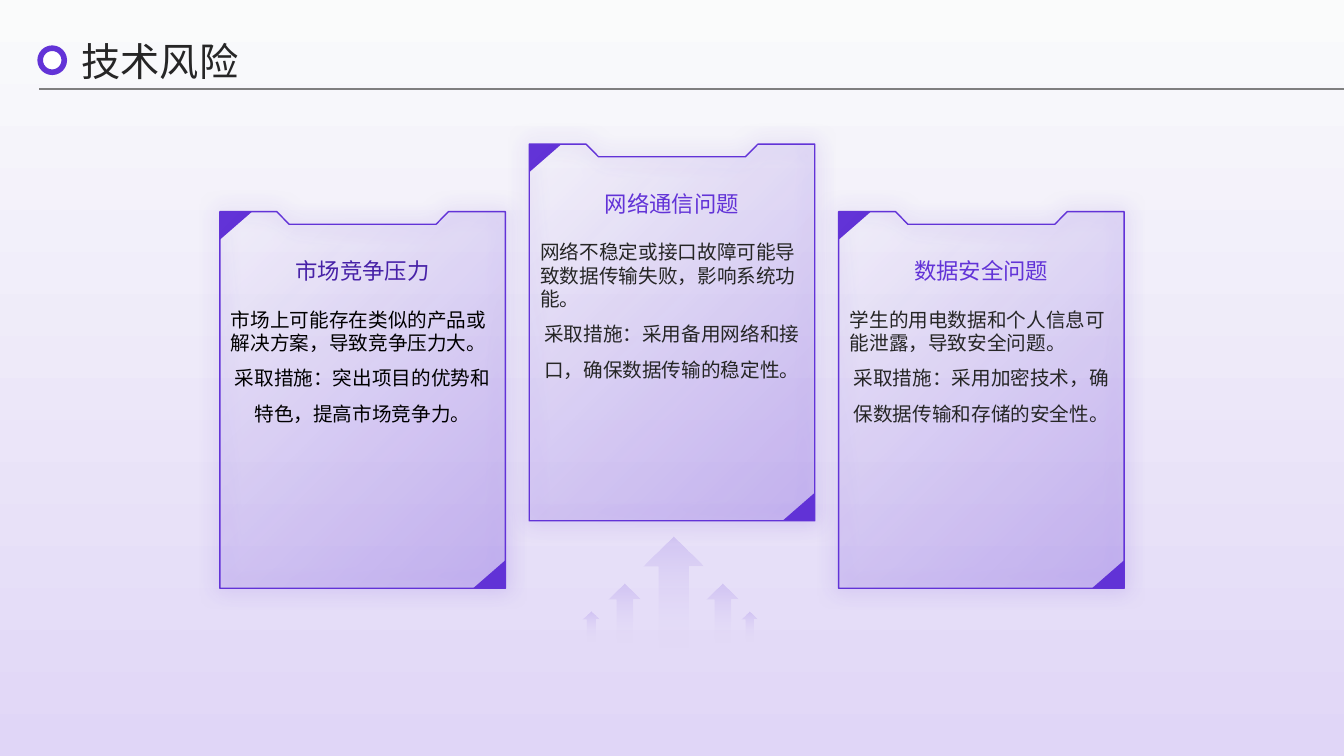
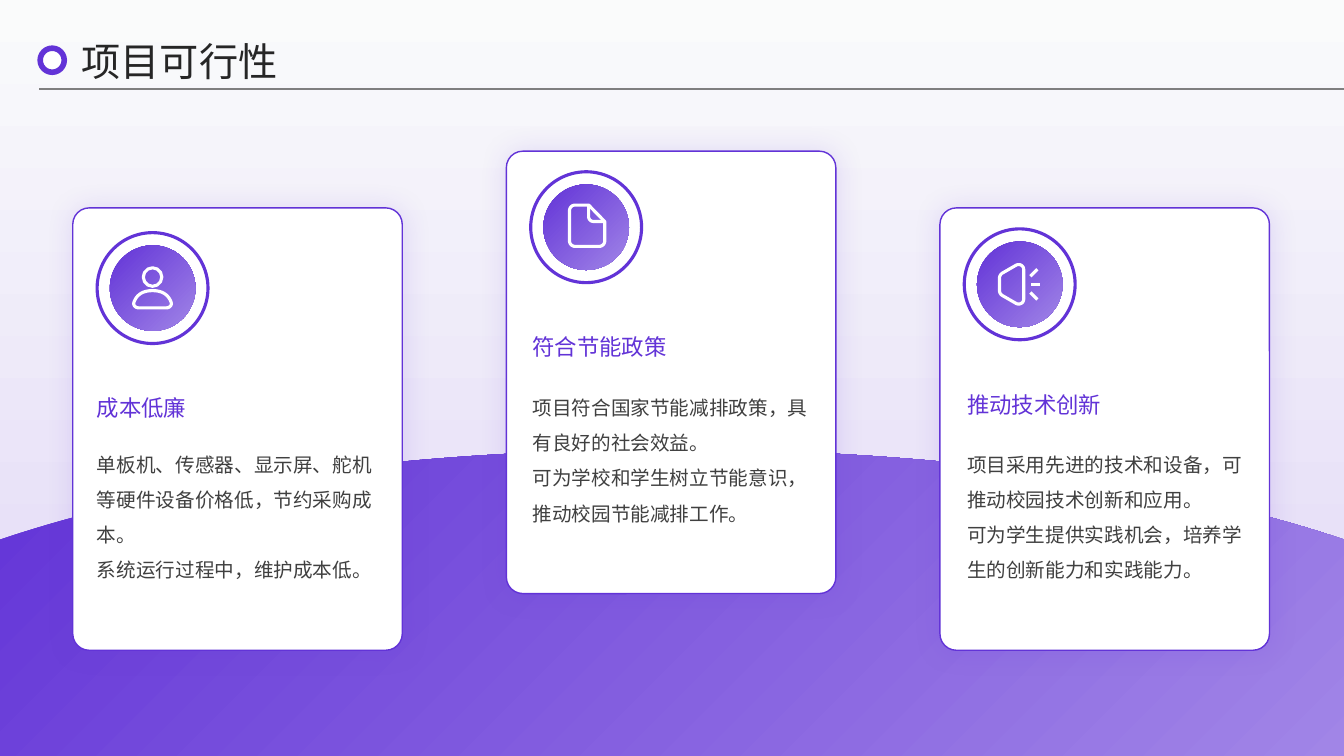
from lxml.etree import SubElement
from pptx import Presentation
from pptx.dml.color import RGBColor
from pptx.enum.shapes import MSO_CONNECTOR, MSO_SHAPE
from pptx.enum.text import MSO_ANCHOR, MSO_AUTO_SIZE, PP_ALIGN
from pptx.oxml.ns import qn
from pptx.util import Pt

FONT = "Noto Sans CJK SC"
VIOLET, DEEP_VIOLET, LIGHT_VIOLET = "6233D7", "4721A7", "A185E7"
LILAC, MIST, WHITE = "E0D6F7", "FAFBFB", "FFFFFF"
BLACK, INK, DARK_GRAY, GRAY = "000000", "262626", "404040", "7F7F7F"
SLIDE_W, SLIDE_H = 960, 540


# Colour, fill and line
def rgb(value):
    return RGBColor.from_string(value)


def gradient(fill, start, end, angle):
    fill.gradient()
    fill.gradient_angle = angle
    for stop, color in zip(fill.gradient_stops, (start, end)):
        stop.color.rgb = rgb(color)


def set_opacity(shape, *percents):
    stops = shape._element.spPr.find(qn("a:gradFill")).iter(qn("a:srgbClr"))
    for color, percent in zip(stops, percents):
        SubElement(color, qn("a:alpha")).set("val", str(percent * 1000))


def paint(shape, fill=None, line=None, width=1):
    shape.shadow.inherit = False
    if fill:
        shape.fill.solid()
        shape.fill.fore_color.rgb = rgb(fill)
    else:
        shape.fill.background()
    if line:
        shape.line.color.rgb = rgb(line)
        shape.line.width = Pt(width)
    else:
        shape.line.fill.background()
    return shape


def glow_shadow(shape, opacity, blur):
    effects = shape._element.spPr.find(qn("a:effectLst"))
    shadow = SubElement(effects, qn("a:outerShdw"), blurRad=str(Pt(blur)),
                        dist="0", dir="0", algn="ctr", rotWithShape="0")
    color = SubElement(shadow, qn("a:srgbClr"), val=VIOLET)
    SubElement(color, qn("a:alpha"), val=str(opacity * 1000))


# Drawing
def add_preset(slide, kind, x, y, w, h, **style):
    shape = slide.shapes.add_shape(kind, Pt(x), Pt(y), Pt(w), Pt(h))
    return paint(shape, **style)


def add_circle(slide, cx, cy, radius, **style):
    return add_preset(slide, MSO_SHAPE.OVAL, cx - radius, cy - radius,
                      2 * radius, 2 * radius, **style)


def add_line(slide, x1, y1, x2, y2, color, width):
    line = slide.shapes.add_connector(
        MSO_CONNECTOR.STRAIGHT, Pt(x1), Pt(y1), Pt(x2), Pt(y2))
    line.line.color.rgb = rgb(color)
    line.line.width = Pt(width)
    SubElement(line._element.spPr, qn("a:effectLst"))


def flatten(segments, steps):
    """Turn points (x, y) and cubic curves (six numbers) into plain points."""
    points = [segments[0]]
    for segment in segments[1:]:
        if len(segment) == 2:
            points.append(segment)
            continue
        x0, y0 = points[-1]
        x1, y1, x2, y2, x3, y3 = segment
        for step in range(1, steps + 1):
            t = step / steps
            a, b, c, d = (1 - t) ** 3, 3 * t * (1 - t) ** 2, 3 * t * t * (1 - t), t ** 3
            points.append((a * x0 + b * x1 + c * x2 + d * x3,
                           a * y0 + b * y1 + c * y2 + d * y3))
    return points


def add_outline(slide, x, y, segments, closed=True, steps=10, **style):
    points = [(Pt(x + px), Pt(y + py)) for px, py in flatten(segments, steps)]
    builder = slide.shapes.build_freeform(*points[0])
    builder.add_line_segments(points[1:], close=closed)
    return paint(builder.convert_to_shape(), **style)


# Text
def format_frame(frame, anchor):
    frame.word_wrap = True
    frame.auto_size = MSO_AUTO_SIZE.NONE
    frame.vertical_anchor = anchor
    frame.margin_left = frame.margin_right = frame.margin_top = frame.margin_bottom = 0


def format_paragraph(paragraph, size, color, align, spacing):
    paragraph.alignment = align
    paragraph.line_spacing = spacing
    for run in paragraph.runs:
        run.font.size = Pt(size)
        run.font.color.rgb = rgb(color)
        run.font.name = FONT
        SubElement(run._r.get_or_add_rPr(), qn("a:ea")).set("typeface", FONT)


def add_text(slide, x, y, w, h, text, size, color, layout, anchor=MSO_ANCHOR.TOP):
    """layout gives (alignment, line spacing) for each paragraph."""
    frame = slide.shapes.add_textbox(Pt(x), Pt(y), Pt(w), Pt(h)).text_frame
    format_frame(frame, anchor)
    frame.text = text
    for paragraph, (align, spacing) in zip(frame.paragraphs, layout):
        format_paragraph(paragraph, size, color, align, spacing)


# Shared slide frame: background, title, ring and rule
def add_framed_slide(prs, title_text):
    slide = prs.slides.add_slide(prs.slide_layouts[5])
    gradient(slide.background.fill, LILAC, MIST, 90)
    title = slide.shapes.title
    title.left, title.top, title.width, title.height = Pt(58.3), Pt(23), Pt(834), Pt(34)
    format_frame(title.text_frame, MSO_ANCHOR.MIDDLE)
    title.text_frame.text = title_text
    format_paragraph(title.text_frame.paragraphs[0], 28, INK, PP_ALIGN.LEFT, 1.2)
    add_circle(slide, 37.3, 43, 8.6, fill=WHITE, line=VIOLET, width=4)
    add_line(slide, 28, 63.5, SLIDE_W, 63.5, GRAY, 1.25)
    return slide


# Risk slide
def add_rising_arrows(slide, cx, bottom):
    # offset of centre, top and bottom above the base, width
    for offset, top, base, width in ((-59, 28, 6, 11.5), (-35, 48, 4, 23), (0, 81, 0, 42.5),
                                     (35, 48, 4, 23), (54, 28, 6, 11.5)):
        arrow = add_preset(slide, MSO_SHAPE.UP_ARROW, cx + offset - width / 2,
                           bottom - top, width, top - base)
        gradient(arrow.fill, VIOLET, LILAC, 270)
        set_opacity(arrow, 16, 0)


def add_risk_panel(slide, x, y, heading, risk, measure, heading_color, body_color):
    w, h = 204, 269
    corner_w, corner_h = 23, 20
    # Corner triangles
    for cx, cy, rotation in ((x, y, 180), (x + w - corner_w, y + h - corner_h, 0)):
        corner = add_preset(slide, MSO_SHAPE.RIGHT_TRIANGLE, cx, cy,
                            corner_w, corner_h, fill=VIOLET)
        corner._element.spPr.find(qn("a:xfrm")).set("flipH", "1")
        corner.rotation = rotation
    # Notched panel
    notch, slope, depth = 40.7, 8.8, 9
    panel = add_outline(slide, x, y, [
        (0, 0), (notch, 0), (notch + slope, depth), (w - notch - slope, depth),
        (w - notch, 0), (w, 0), (w, h), (0, h)], line=VIOLET)
    gradient(panel.fill, VIOLET, VIOLET, 315)
    set_opacity(panel, 0, 18)
    glow_shadow(panel, 70, 15)
    # Heading and text
    add_text(slide, x + 8, y + 14.4, w - 16, 49.7, heading, 16, heading_color,
             [(PP_ALIGN.CENTER, 1.3)], MSO_ANCHOR.MIDDLE)
    add_text(slide, x + 8, y + 68.4, w - 16, 188.6, risk + "\n" + measure, 14, body_color,
             [(PP_ALIGN.LEFT, 1.0), (PP_ALIGN.CENTER, 1.5)])


def build_risk_slide(prs):
    slide = add_framed_slide(prs, "技术风险")
    add_rising_arrows(slide, 481.2, 464.5)
    risks = (
        (151.2, "市场竞争压力", "市场上可能存在类似的产品或解决方案，导致竞争压力大。",
         "采取措施：突出项目的优势和特色，提高市场竞争力。", DEEP_VIOLET, BLACK),
        (103, "网络通信问题", "网络不稳定或接口故障可能导致数据传输失败，影响系统功能。",
         "采取措施：采用备用网络和接口，确保数据传输的稳定性。", VIOLET, INK),
        (151.2, "数据安全问题", "学生的用电数据和个人信息可能泄露，导致安全问题。",
         "采取措施：采用加密技术，确保数据传输和存储的安全性。", VIOLET, INK),
    )
    for index, (y, *content) in enumerate(risks):
        add_risk_panel(slide, 157 + 221 * index, y, *content)


# Feasibility slide: icons are drawn around the centre of their badge
STROKE = {"line": WHITE, "width": 2.25}


def draw_person(slide, cx, cy):
    add_circle(slide, cx, cy - 7.9, 6.6, **STROKE)
    add_outline(slide, cx, cy, [
        (0, 1.8), (-8.6, 1.8, -11.9, 6.2, -13.3, 10.2), (-14, 12.2, -12.2, 14.1, -10, 14.1),
        (10, 14.1), (12.2, 14.1, 14, 12.2, 13.3, 10.2), (11.9, 6.2, 8.6, 1.8, 0, 1.8)],
        **STROKE)


def draw_document(slide, cx, cy):
    add_outline(slide, cx, cy, [
        (1.8, -15.8), (-7.9, -15.8), (-10.1, -15.8, -11.9, -14, -11.9, -11.8), (-11.9, 9.7),
        (-11.9, 11.9, -10.1, 13.7, -7.9, 13.7), (9.3, 13.7),
        (11.5, 13.7, 13.3, 11.9, 13.3, 9.7), (13.3, -4)], **STROKE)
    add_outline(slide, cx, cy, [
        (1.8, -15.8), (1.8, -7.6), (1.8, -5.4, 3.4, -4, 5.8, -4), (13.3, -4)],
        closed=False, **STROKE)


def draw_megaphone(slide, cx, cy):
    add_outline(slide, cx, cy, [
        (2.9, -10.4), (2.9, 10.4), (2.9, 13.4, 0, 14.9, -2.5, 13.7), (-12.2, 8.1),
        (-13.6, 7.3, -14.4, 6, -14.4, 4.5), (-14.4, -4.5),
        (-14.4, -6, -13.6, -7.3, -12.2, -8.1), (-2.5, -13.7),
        (0, -14.9, 2.9, -13.4, 2.9, -10.4)], **STROKE)
    for x1, y1, x2, y2 in ((7.6, -5.8, 12.6, -10.8), (7.9, 0, 14.8, 0), (7.6, 5.8, 12.6, 10.8)):
        add_line(slide, cx + x1, cy + y1, cx + x2, cy + y2, WHITE, 2.25)


def add_hill(slide, top):
    mid, edge, h = SLIDE_W / 2, 64.5, SLIDE_H - top
    hill = add_outline(slide, 0, top, [
        (0, edge), (116, 25, 288, 0, mid, 0),
        (SLIDE_W - 288, 0, SLIDE_W - 116, 25, SLIDE_W, edge), (SLIDE_W, h), (0, h)], steps=40)
    gradient(hill.fill, VIOLET, LIGHT_VIOLET, 315)


def add_benefit_card(slide, x, y, draw_icon, badge_y, heading_y, inset, heading, body):
    w, h = 235.4, 316
    card = add_preset(slide, MSO_SHAPE.ROUNDED_RECTANGLE, x, y, w, h, fill=WHITE, line=VIOLET)
    card.adjustments[0] = 0.05
    glow_shadow(card, 15, 20)
    # Badge
    cx, cy = x + 57, y + badge_y
    add_circle(slide, cx, cy, 39.6, line=VIOLET, width=2.25)
    disc = add_circle(slide, cx, cy, 30.6)
    gradient(disc.fill, VIOLET, LIGHT_VIOLET, 315)
    draw_icon(slide, cx, cy)
    # Heading and text
    text_w = w - 2 * inset + 2
    add_text(slide, x + inset, y + heading_y, text_w, 51, heading, 16, VIOLET,
             [(PP_ALIGN.LEFT, 1.2)], MSO_ANCHOR.MIDDLE)
    add_text(slide, x + inset, y + 166.3, text_w, 140, body, 14, DARK_GRAY,
             [(PP_ALIGN.LEFT, 1.5)] * 2)


def build_feasibility_slide(prs):
    slide = add_framed_slide(prs, "项目可行性")
    add_hill(slide, 321)
    benefits = (
        (148.5, draw_person, 57.3, 115.2, 17.3, "成本低廉",
         "单板机、传感器、显示屏、舵机等硬件设备价格低，节约采购成本。\n"
         "系统运行过程中，维护成本低。"),
        (108, draw_document, 54.3, 112.4, 18.7, "符合节能政策",
         "项目符合国家节能减排政策，具有良好的社会效益。\n"
         "可为学校和学生树立节能意识，推动校园节能减排工作。"),
        (148.5, draw_megaphone, 54.6, 113, 19.4, "推动技术创新",
         "项目采用先进的技术和设备，可推动校园技术创新和应用。\n"
         "可为学生提供实践机会，培养学生的创新能力和实践能力。"),
    )
    for index, (y, *content) in enumerate(benefits):
        add_benefit_card(slide, 52 + 309.7 * index, y, *content)


def main():
    prs = Presentation()
    prs.slide_width, prs.slide_height = Pt(SLIDE_W), Pt(SLIDE_H)
    build_risk_slide(prs)
    build_feasibility_slide(prs)
    prs.save("out.pptx")


if __name__ == "__main__":
    main()
